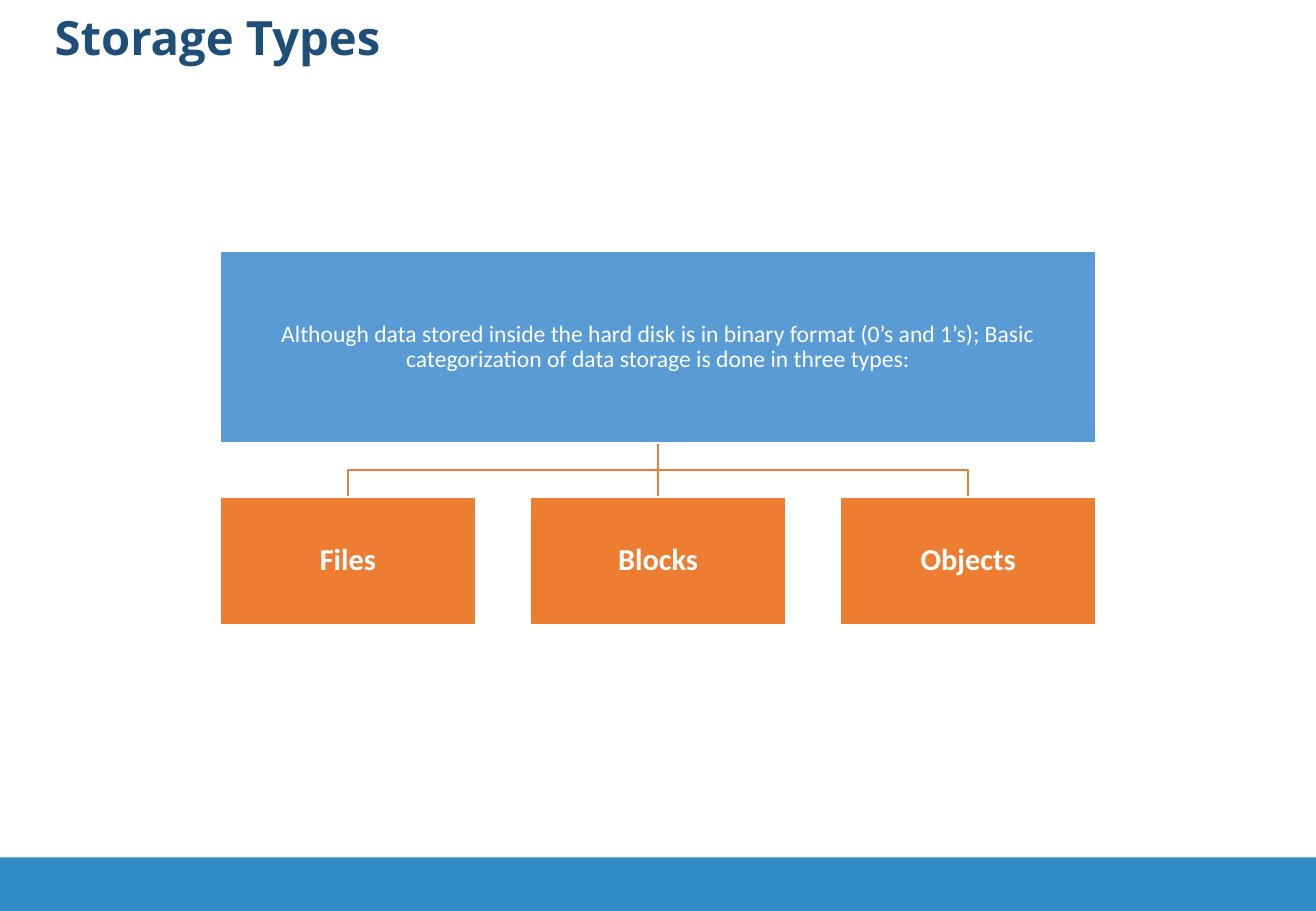
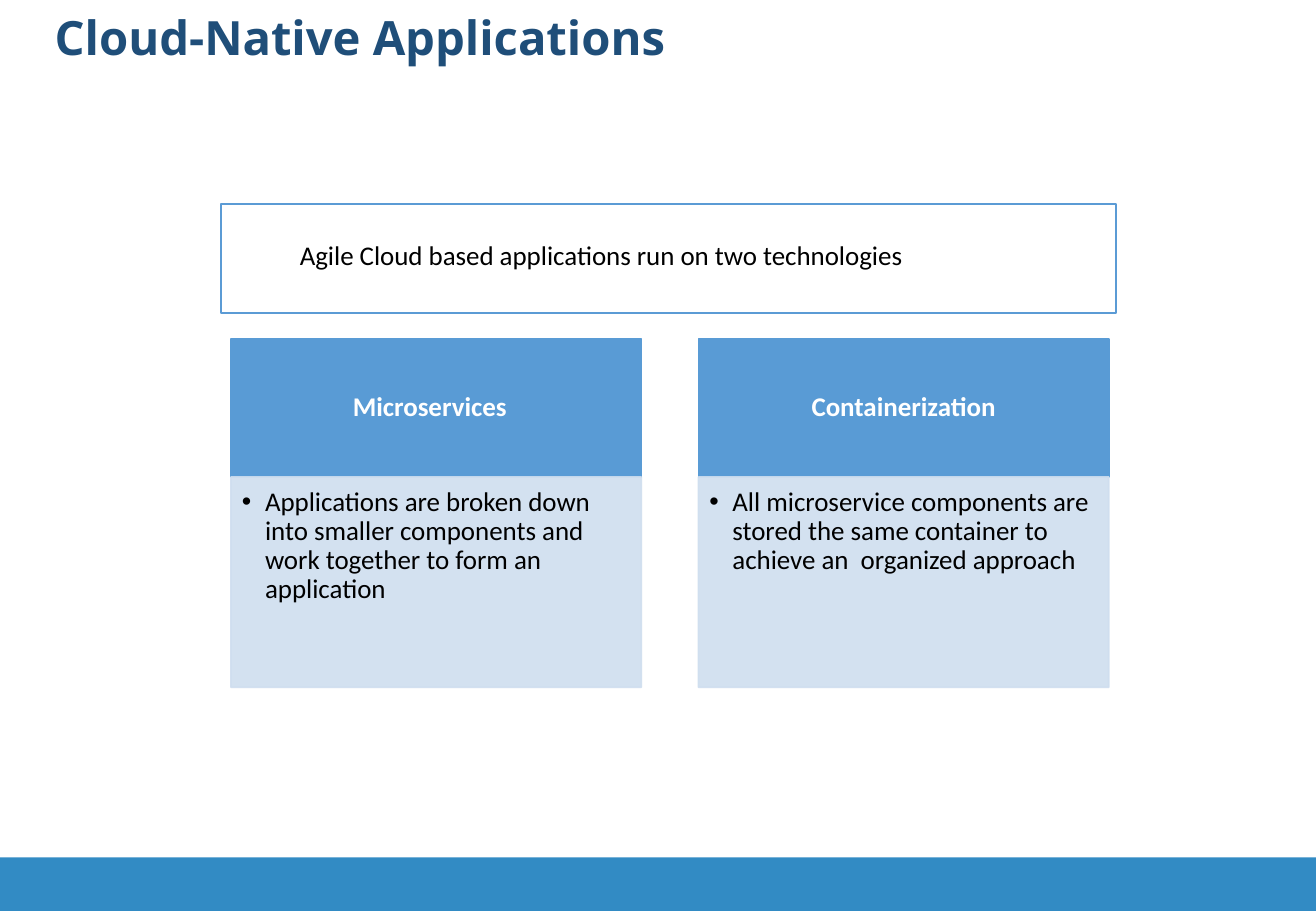
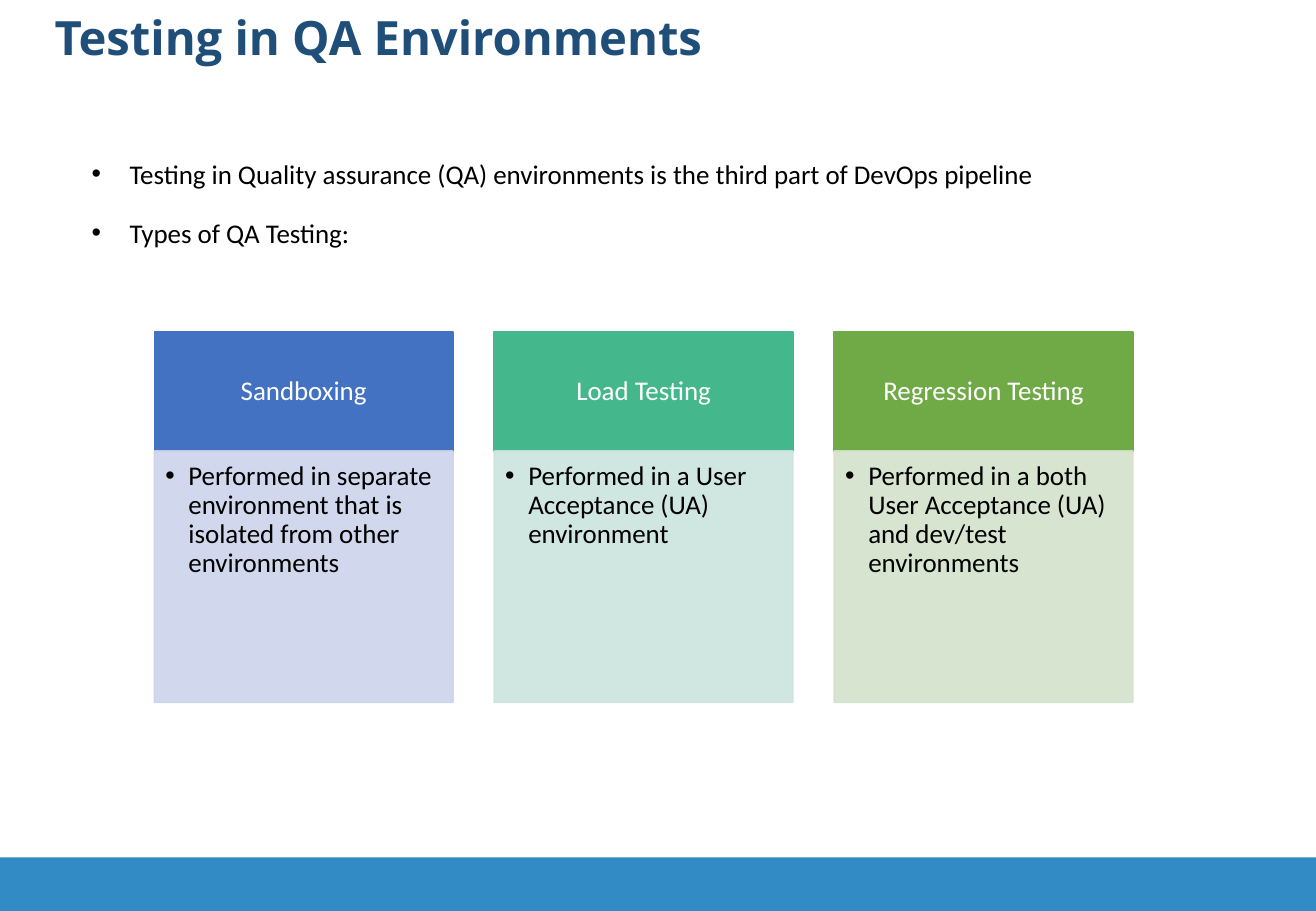
import pptx
import pptx.util
import pptx.dml.color
import pptx.enum.shapes
import pptx.enum.text
import pptx.oxml.ns
from lxml import etree

Pt = pptx.util.Pt
rgb = pptx.dml.color.RGBColor.from_string
qn = pptx.oxml.ns.qn
ALIGN = pptx.enum.text.PP_ALIGN
ANCHOR = pptx.enum.text.MSO_ANCHOR
W, H = 780.48, 540
BAND_H = 31.8
BLUE, ORANGE, WHITE, BLACK = "599BD5", "ED7D31", "FFFFFF", "000000"


def box(s, x, y, w, h, fill, line, alpha=None):
    sp = s.shapes.add_shape(pptx.enum.shapes.MSO_SHAPE.RECTANGLE, Pt(x), Pt(y), Pt(w), Pt(h))
    sp.shadow.inherit = False
    sp.fill.solid()
    sp.fill.fore_color.rgb = rgb(fill)
    sp.line.color.rgb = rgb(line)
    sp.line.width = Pt(1)
    if alpha:
        for clr in sp._element.spPr.iter(qn("a:srgbClr")):
            etree.SubElement(clr, qn("a:alpha"), val=str(alpha * 1000))
    return sp


def write(sp, texts, size, color, font="Calibri", bold=False, align=ALIGN.LEFT,
          anchor=ANCHOR.TOP, ins=(7.2, 3.6, 7.2, 3.6), spacing=0.9, before=0, indent=0):
    tf = sp.text_frame
    tf.word_wrap = True
    tf.auto_size = pptx.enum.text.MSO_AUTO_SIZE.NONE
    tf.vertical_anchor = anchor
    tf.margin_left, tf.margin_top, tf.margin_right, tf.margin_bottom = [Pt(v) for v in ins]
    for i, text in enumerate(texts):
        p = tf.add_paragraph() if i else tf.paragraphs[0]
        if indent:
            pPr = p._p.get_or_add_pPr()
            pPr.set("marL", str(Pt(indent)))
            pPr.set("indent", str(-Pt(indent)))
            clr = etree.SubElement(pPr, qn("a:buClr"))
            etree.SubElement(clr, qn("a:srgbClr"), val=color)
            etree.SubElement(pPr, qn("a:buFont"), typeface="Arial")
            etree.SubElement(pPr, qn("a:buChar"), char="•")
        p.alignment = align
        p.line_spacing = spacing
        p.space_before = Pt(before if i else 0)
        r = p.add_run()
        r.text = text
        r.font.name = font
        r.font.size = Pt(size)
        r.font.bold = bold
        r.font.color.rgb = rgb(color)


prs = pptx.Presentation()
prs.slide_width, prs.slide_height = Pt(W), Pt(H)

slides = []
for title, layout in [("Storage Types", 5), ("Cloud-Native Applications", 5),
                      ("Testing in QA Environments", 1)]:
    s = prs.slides.add_slide(prs.slide_layouts[layout])
    sp = s.shapes.title
    sp.left, sp.top, sp.width, sp.height = Pt(25.2), Pt(5), Pt(447), Pt(49.7)
    write(sp, [title], 28, "1F4E79", font="Open Sans", bold=True)
    slides.append(s)
storage, native, testing = slides

band = box(storage, 0, H - BAND_H, W, BAND_H, "328BC4", "328BC4")
band.line.fill.background()
prs.slide_master.shapes._spTree.insert(2, band._element)

left, width, child_w, child_y = 130.4, 519.8, 151.9, 294.5
parent_y, parent_h = 149, 113.8
pitch = (width - child_w) / 2
parent_bottom = parent_y + parent_h
bus_y = (parent_bottom + child_y) / 2
centers = [left + child_w / 2 + i * pitch for i in range(3)]
mid = centers[1]
branches = [storage.shapes.add_connector(pptx.enum.shapes.MSO_CONNECTOR.STRAIGHT,
                                         Pt(mid), Pt(parent_bottom), Pt(mid), Pt(child_y))]
etree.SubElement(branches[0]._element.spPr, qn("a:effectLst"))
for x in (centers[2], centers[0]):
    fb = storage.shapes.build_freeform(Pt(mid), Pt(parent_bottom))
    fb.add_line_segments([(Pt(mid), Pt(bus_y)), (Pt(x), Pt(bus_y)), (Pt(x), Pt(child_y))], close=False)
    sp = fb.convert_to_shape()
    sp.shadow.inherit = False
    sp.fill.background()
    branches.append(sp)
for sp in branches:
    sp.line.color.rgb = rgb(ORANGE)
    sp.line.width = Pt(1)

sp = box(storage, left, parent_y, width, parent_h, BLUE, WHITE)
write(sp, ["Although data stored inside the hard disk is in binary format (0’s and 1’s); "
           "Basic categorization of data storage is done in three types:"],
      14, WHITE, align=ALIGN.CENTER, anchor=ANCHOR.MIDDLE, ins=(0.7,) * 4)
for x, name in zip(centers, ["Files", "Blocks", "Objects"]):
    sp = box(storage, x - child_w / 2, child_y, child_w, 76, ORANGE, WHITE)
    write(sp, [name], 18, WHITE, bold=True, align=ALIGN.CENTER, anchor=ANCHOR.MIDDLE, ins=(0.7,) * 4)

sp = box(native, 131, 121, 531, 64.4, WHITE, "5B9BD5")
write(sp, ["Agile Cloud based applications run on two technologies"], 16, BLACK,
      anchor=ANCHOR.MIDDLE, ins=(46.8, 3.6, 7.2, 7.4), spacing=1.0)

sp = testing.placeholders[1]
sp.left, sp.top, sp.width, sp.height = Pt(47.1), Pt(80.2), Pt(687), Pt(71.3)
write(sp, ["Testing in Quality assurance (QA) environments is the third part of DevOps pipeline",
           "Types of QA Testing:"], 16, BLACK, spacing=1.5, before=6, indent=22.5)

card_rows = [
    (native, 137, 200.9, 243.4, 277.2, 81.9, 124.6, True, [
        ("Microservices", 16.2, BLUE, "CFDEEF",
         "Applications are broken down into smaller components and work together to form an application"),
        ("Containerization", 8.6, BLUE, "CFDEEF",
         "All microservice components are stored the same container to achieve an  organized approach"),
    ]),
    (testing, 91.6, 196.7, 177.1, 201.6, 70.7, 149, False, [
        ("Sandboxing", 8.6, "4372C3", "CCD3EA",
         "Performed in separate environment that is isolated from other environments"),
        ("Load Testing", 8.6, "44B78C", "CBE5DE",
         "Performed in a User Acceptance (UA) environment"),
        ("Regression Testing", 8.6, "6FAA47", "D2E2CB",
         "Performed in a both User Acceptance (UA) and dev/test environments"),
    ]),
]
for s, left, top, w, pitch, head_h, body_h, bold, cards in card_rows:
    for i, (head, right_ins, dark, light, body) in enumerate(cards):
        x = left + i * pitch
        sp = box(s, x, top, w, head_h, dark, dark)
        write(sp, [head], 16, WHITE, bold=bold, align=ALIGN.CENTER, anchor=ANCHOR.MIDDLE,
              ins=(8.6, 5, right_ins, 5))
        sp = box(s, x, top + head_h, w, body_h, light, light, alpha=90)
        write(sp, [body], 16, BLACK, ins=(6.5, 6.5, 8.6, 10), indent=13.7)

prs.save("out.pptx")
